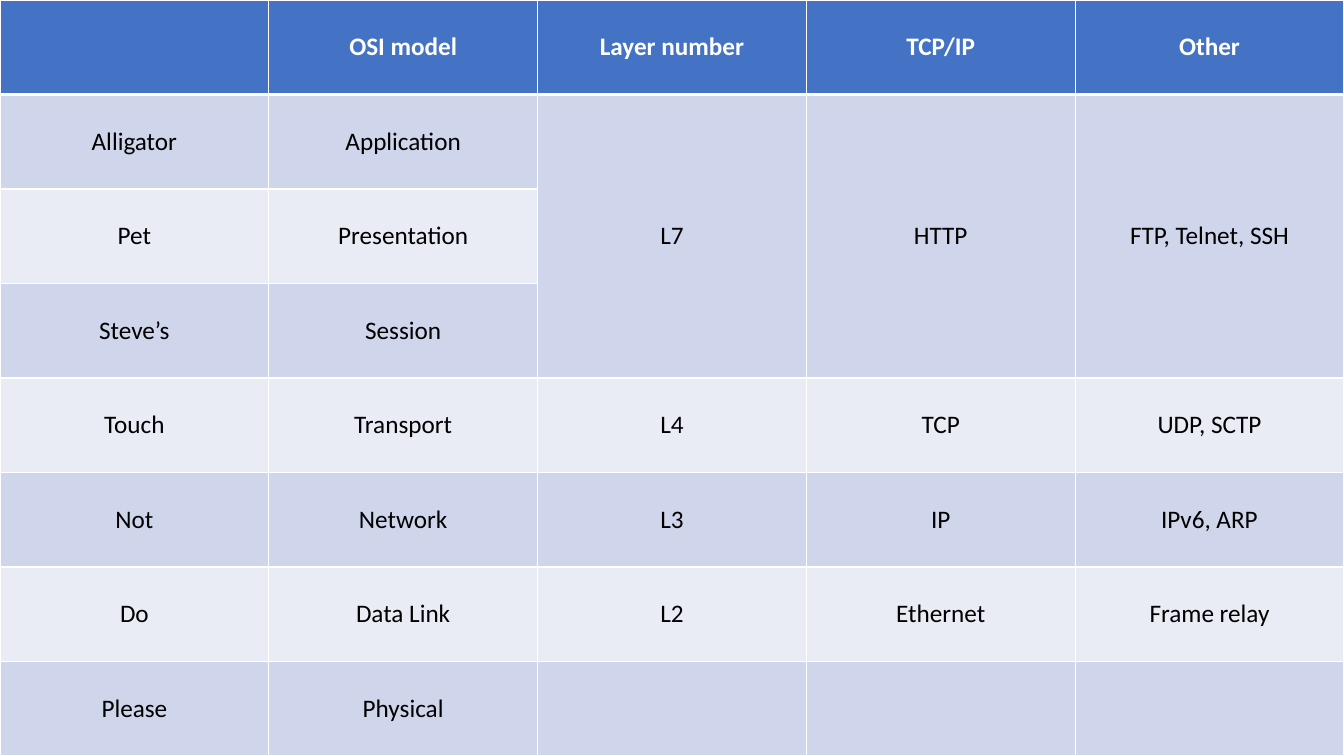
from pptx import Presentation
from pptx.dml.color import RGBColor
from pptx.enum import text
from pptx.oxml import parse_xml
from pptx.oxml.ns import nsdecls
from pptx.util import Pt

WHITE = RGBColor(0xFF, 0xFF, 0xFF)
BLACK = RGBColor(0x00, 0x00, 0x00)
HEADER_BLUE = RGBColor(0x44, 0x72, 0xC4)
BAND_DARK = RGBColor(0xCF, 0xD5, 0xEA)
BAND_LIGHT = RGBColor(0xE9, 0xEB, 0xF5)

SLIDE_WIDTH = Pt(960)
SLIDE_HEIGHT = Pt(540)
FONT_NAME = "Calibri"
FONT_SIZE = Pt(18)
THIN_LINE = Pt(1)
HEADER_LINE = Pt(3)

LAYERS = [
    ["", "OSI model", "Layer number", "TCP/IP", "Other"],
    ["Alligator", "Application", "L7", "HTTP", "FTP, Telnet, SSH"],
    ["Pet", "Presentation", "", "", ""],
    ["Steve’s", "Session", "", "", ""],
    ["Touch", "Transport", "L4", "TCP", "UDP, SCTP"],
    ["Not", "Network", "L3", "IP", "IPv6, ARP"],
    ["Do", "Data Link", "L2", "Ethernet", "Frame relay"],
    ["Please", "Physical", "", "", ""],
]
MERGED_COLUMNS = (2, 3, 4)
MERGED_FIRST_ROW, MERGED_LAST_ROW = 1, 3


def add_borders(cell, top, bottom):
    """Draw white borders; call before the fill is set, as the schema orders them."""
    properties = cell._tc.get_or_add_tcPr()
    widths = {"L": THIN_LINE, "R": THIN_LINE, "T": top, "B": bottom}
    for side, width in widths.items():
        properties.append(parse_xml(
            f'<a:ln{side} {nsdecls("a")} w="{width}"><a:solidFill>'
            f'<a:srgbClr val="{WHITE}"/></a:solidFill></a:ln{side}>'))


def format_cell(cell, content, row_index):
    is_header = row_index == 0
    add_borders(cell,
                top=HEADER_LINE if row_index == 1 else THIN_LINE,
                bottom=HEADER_LINE if is_header else THIN_LINE)
    cell.fill.solid()
    if is_header:
        cell.fill.fore_color.rgb = HEADER_BLUE
    else:
        cell.fill.fore_color.rgb = BAND_DARK if row_index % 2 else BAND_LIGHT
    cell.vertical_anchor = text.MSO_ANCHOR.MIDDLE
    cell.text_frame.text = content
    paragraph = cell.text_frame.paragraphs[0]
    paragraph.alignment = text.PP_ALIGN.CENTER
    font = paragraph.font
    if paragraph.runs:
        font = paragraph.runs[0].font
    font.name = FONT_NAME
    font.size = FONT_SIZE
    font.bold = is_header
    font.color.rgb = WHITE if is_header else BLACK


def add_layer_table(slide):
    row_count, column_count = len(LAYERS), len(LAYERS[0])
    table = slide.shapes.add_table(row_count, column_count, Pt(0), Pt(0),
                                   SLIDE_WIDTH, SLIDE_HEIGHT).table
    for row_index, row in enumerate(LAYERS):
        for column_index, content in enumerate(row):
            format_cell(table.cell(row_index, column_index), content, row_index)
    for column_index in MERGED_COLUMNS:
        last_cell = table.cell(MERGED_LAST_ROW, column_index)
        table.cell(MERGED_FIRST_ROW, column_index).merge(last_cell)


def main():
    presentation = Presentation()
    presentation.slide_width = SLIDE_WIDTH
    presentation.slide_height = SLIDE_HEIGHT
    slide = presentation.slides.add_slide(presentation.slide_layouts[6])
    add_layer_table(slide)
    presentation.save("out.pptx")


if __name__ == "__main__":
    main()
